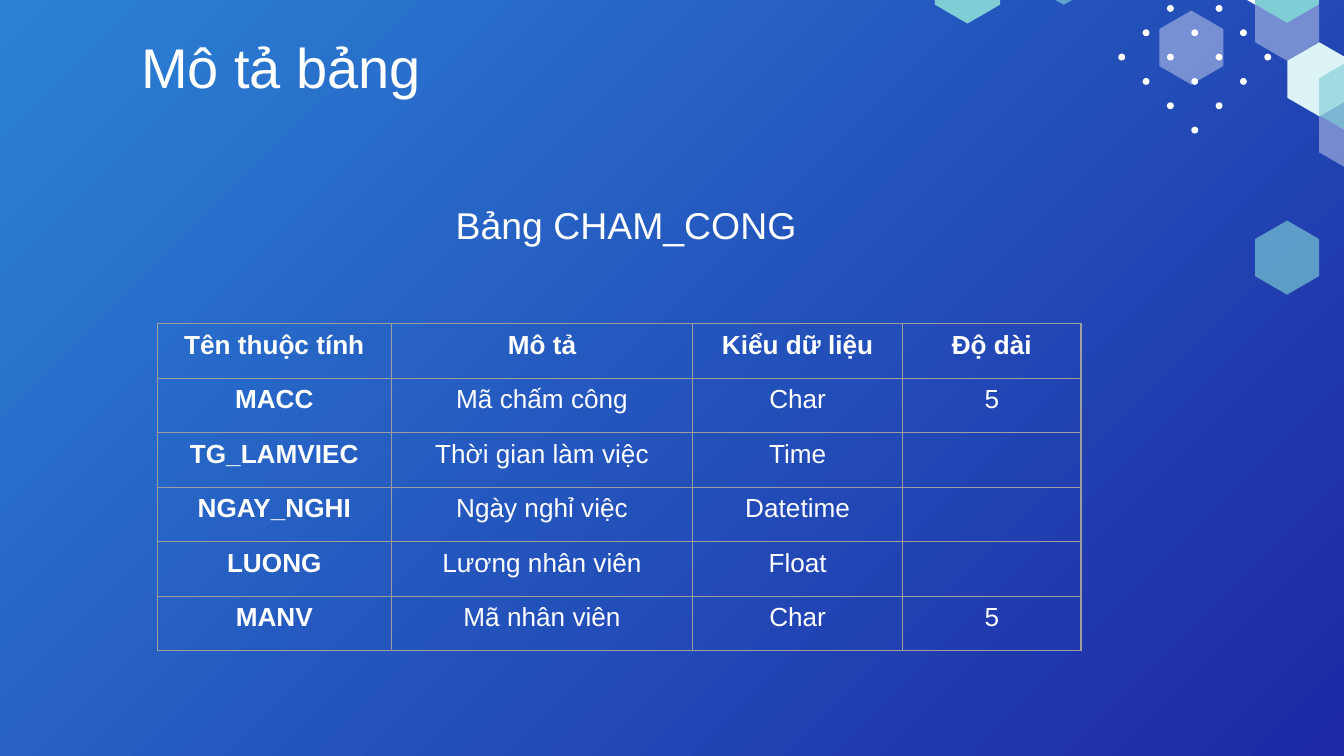
import dataclasses

import lxml.etree
import pptx
import pptx.dml.color
import pptx.enum.shapes
import pptx.enum.text
import pptx.oxml.ns
import pptx.util

Cm = pptx.util.Cm
Pt = pptx.util.Pt
qn = pptx.oxml.ns.qn

WHITE = "FFFFFF"
TEAL = "7FCED6"
PALE = "DDF4F7"
GRAY = "9E9E9E"
FONT = "Arial"

HEX_W, HEX_H = 1.21, 1.4
HEX_PTS = [(0.5, 0), (1, 0.25), (1, 0.75), (0.5, 1), (0, 0.75), (0, 0.25)]
DOT = 0.13
DOT_MID, DOT_TOP, DOT_STEP = 22.58, 0.16, 0.46
DOT_ROWS = [2, 3, 4, 3, 2, 1]


@dataclasses.dataclass
class Hex:
    left: float
    top: float
    fill: str
    alpha: int = 100
    edge: bool = False


@dataclasses.dataclass
class Label:
    text: str
    left: float
    top: float
    width: float
    height: float
    size: int


HEXES = [
    Hex(23.72, -0.25, WHITE, 38),
    Hex(23.12, -1.31, WHITE),
    Hex(19.5, -1.31, TEAL, 65),
    Hex(24.33, 0.8, PALE),
    Hex(24.93, 1.83, WHITE, 38),
    Hex(21.91, 0.2, WHITE, 38),
    Hex(23.72, -0.97, TEAL),
    Hex(17.68, -0.97, TEAL, edge=True),
    Hex(24.93, 1.13, TEAL, 65),
    Hex(23.72, 4.17, TEAL, 65),
]

LABELS = [
    Label("Mô tả bảng", 1.24, 0.56, 8.15, 1.57, 30),
    Label("Bảng CHAM_CONG", 4.47, 3.35, 14.73, 1.57, 20),
]

COLS = [4.43, 5.69, 3.97, 3.37]
ROW_H = 1.03
ROWS = [
    ["Tên thuộc tính", "Mô tả", "Kiểu dữ liệu", "Độ dài"],
    ["MACC", "Mã chấm công", "Char", "5"],
    ["TG_LAMVIEC", "Thời gian làm việc", "Time", ""],
    ["NGAY_NGHI", "Ngày nghỉ việc", "Datetime", ""],
    ["LUONG", "Lương nhân viên", "Float", ""],
    ["MANV", "Mã nhân viên", "Char", "5"],
]


def tint(code: str) -> pptx.dml.color.RGBColor:
    return pptx.dml.color.RGBColor.from_string(code)


def paint(shape, code: str, alpha: int = 100) -> None:
    shape.shadow.inherit = False
    shape.line.fill.background()
    shape.fill.solid()
    shape.fill.fore_color.rgb = tint(code)
    if alpha < 100:
        color = shape._element.spPr.find(qn("a:solidFill"))[0]
        lxml.etree.SubElement(color, qn("a:alpha"), val=str(alpha * 1000))


def write(frame, text: str, size: int, bold: bool = False) -> None:
    para = frame.paragraphs[0]
    para.alignment = pptx.enum.text.PP_ALIGN.CENTER
    para.font.size = Pt(size)
    if text:
        run = para.add_run()
        run.text = text
        run.font.name = FONT
        run.font.size = Pt(size)
        run.font.bold = bold
        run.font.color.rgb = tint(WHITE)


def draw_back(slide) -> None:
    fill = slide.background.fill
    fill.gradient()
    fill.gradient_angle = 315
    for stop, code in zip(fill.gradient_stops, ["2B82D5", "1D28A4"]):
        stop.color.rgb = tint(code)


def draw_dots(slide) -> None:
    for row, count in enumerate(DOT_ROWS):
        for col in range(count):
            x = DOT_MID + (2 * col - count + 1) * DOT_STEP
            y = DOT_TOP + row * DOT_STEP
            dot = slide.shapes.add_shape(
                pptx.enum.shapes.MSO_SHAPE.OVAL,
                Cm(x - DOT / 2), Cm(y - DOT / 2), Cm(DOT), Cm(DOT))
            paint(dot, WHITE)


def draw_hex(slide, item: Hex) -> None:
    pts = [(Cm(item.left + x * HEX_W), Cm(item.top + y * HEX_H))
           for x, y in HEX_PTS]
    pen = slide.shapes.build_freeform(*pts[0])
    pen.add_line_segments(pts[1:], close=True)
    shape = pen.convert_to_shape()
    paint(shape, item.fill, item.alpha)
    if item.edge:
        shape.line.color.rgb = tint(item.fill)
        shape.line.width = Pt(0.75)


def draw_label(slide, item: Label) -> None:
    box = slide.shapes.add_textbox(
        Cm(item.left), Cm(item.top), Cm(item.width), Cm(item.height))
    frame = box.text_frame
    frame.word_wrap = True
    frame.vertical_anchor = pptx.enum.text.MSO_ANCHOR.BOTTOM
    frame.margin_left = frame.margin_right = Cm(0.25)
    frame.margin_top = frame.margin_bottom = Cm(0.25)
    write(frame, item.text, item.size)


def rule_cell(cell) -> None:
    props = cell._tc.get_or_add_tcPr()
    for side in ("a:lnL", "a:lnR", "a:lnT", "a:lnB"):
        line = lxml.etree.SubElement(props, qn(side), w=str(Pt(0.75)))
        fill = lxml.etree.SubElement(line, qn("a:solidFill"))
        lxml.etree.SubElement(fill, qn("a:srgbClr"), val=GRAY)
    cell.fill.background()


def draw_table(slide) -> None:
    table = slide.shapes.add_table(
        len(ROWS), len(COLS), Cm(2.97), Cm(6.12),
        Cm(sum(COLS)), Cm(ROW_H * len(ROWS))).table
    table.first_row = False
    table.horz_banding = False
    for col, width in zip(table.columns, COLS):
        col.width = Cm(width)
    for r, texts in enumerate(ROWS):
        table.rows[r].height = Cm(ROW_H)
        for c, text in enumerate(texts):
            cell = table.cell(r, c)
            rule_cell(cell)
            write(cell.text_frame, text, 14, r == 0 or c == 0)


def main() -> None:
    deck = pptx.Presentation()
    deck.slide_width = Cm(25.4)
    deck.slide_height = Cm(14.29)
    slide = deck.slides.add_slide(deck.slide_layouts[6])
    draw_back(slide)
    draw_dots(slide)
    for item in HEXES:
        draw_hex(slide, item)
    draw_table(slide)
    for item in LABELS:
        draw_label(slide, item)
    deck.save("out.pptx")


if __name__ == "__main__":
    main()
